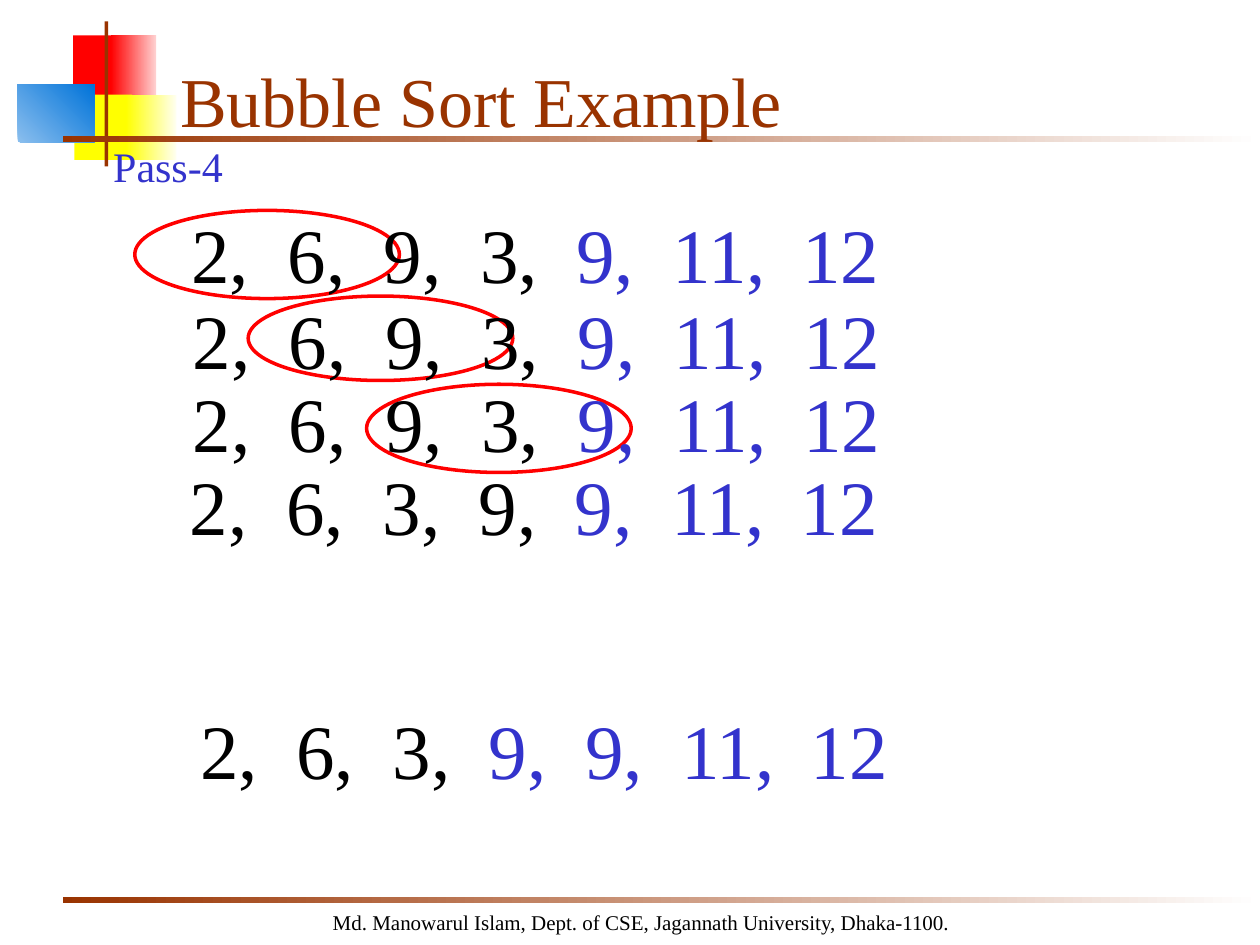
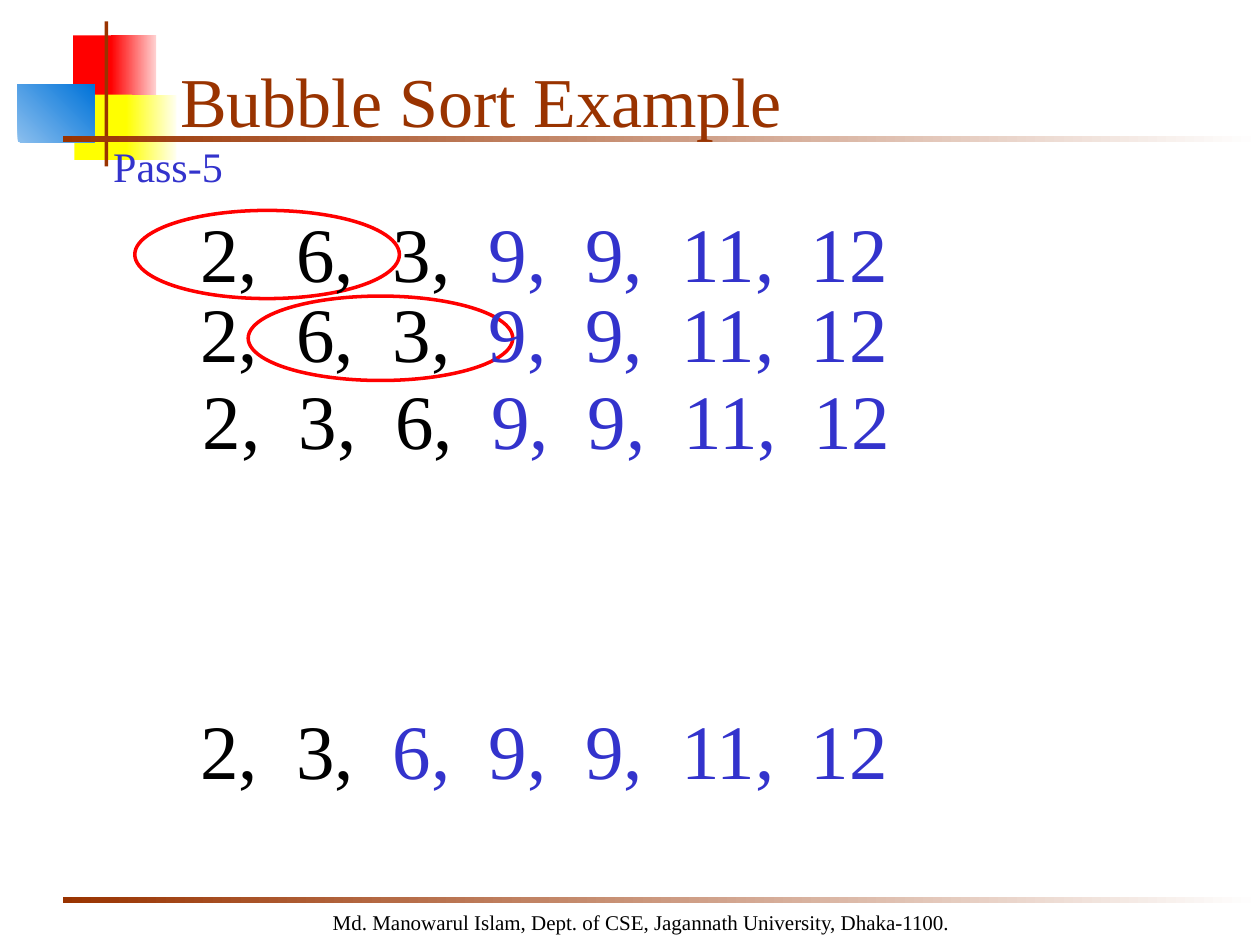
import pptx
import pptx.util
import pptx.dml.color
import pptx.enum.shapes
import pptx.enum.text
import lxml.etree

SHAPE = pptx.enum.shapes.MSO_SHAPE
ALIGN = pptx.enum.text.PP_ALIGN
ANCHOR = pptx.enum.text.MSO_ANCHOR
FIT = pptx.enum.text.MSO_AUTO_SIZE
A = "{http://schemas.openxmlformats.org/drawingml/2006/main}"

COLORS = {
    "brown": "993300", "red": "FF0000", "pink": "FFD1D1", "yellow": "FFFF00",
    "cream": "FFFFF0", "sky": "8BBFEE", "blue": "0073D9", "white": "FFFFFF",
    "black": "000000", "sorted": "3333CC",
}
COLS, ROWS = 100, 75
STEP = 55
WIDE_STEP = 74
STOPS = [STEP * i for i in range(1, 6)] + [STEP * 5 + WIDE_STEP]
FOOTER = "Md. Manowarul Islam, Dept. of CSE, Jagannath University, Dhaka-1100."

BLOCKS = [
    ((5.8, 2.8, 3.5, 5.2), ["red"], 0),
    ((8.8, 2.8, 3.6, 5.2), ["red", "pink"], 0),
    ((5.9, 7.5, 4.6, 5.2), ["yellow"], 0),
    ((10, 7.5, 4, 5.2), ["yellow", "cream"], 0),
    ((1.4, 6.7, 6.1, 4.6), ["sky", "blue"], 45),
    ((8.3, 1.7, 0.3, 11.5), ["brown"], 0),
    ((5, 10.8, 95, 0.5), ["brown", "white"], 0),
    ((5, 71.2, 95, 0.5), ["brown", "white"], 0),
]
COMPARED = [(10.7, 16.7, 21, 7), (19.7, 23.5, 21, 6.7), (29.1, 30.5, 21, 7)]

PASSES = [
    ("Pass-4", 3, [
        (14.9, 55.3, "2 6 3", "9 9 11 12"),
        (14.2, 15.9, "2 6 9 3", "9 11 12"),
        (14.3, 22.7, "2 6 9 3", "9 11 12"),
        (14.3, 29.3, "2 6 9 3", "9 11 12"),
        (14.1, 35.9, "2 6 3 9", "9 11 12"),
    ]),
    ("Pass-5", 2, [
        (14.9, 55.3, "2 3", "6 9 9 11 12"),
        (14.9, 15.8, "2 6 3", "9 9 11 12"),
        (14.9, 22.2, "2 6 3", "9 9 11 12"),
        (15.1, 29.1, "2 3 6", "9 9 11 12"),
    ]),
]


def rgb(name):
    return pptx.dml.color.RGBColor.from_string(COLORS[name])


class Deck:
    def __init__(self):
        self.prs = pptx.Presentation()
        self.prs.slide_width = pptx.util.Inches(10)
        self.prs.slide_height = pptx.util.Inches(7.5)
        self.s = None

    def place(self, x, y, w, h):
        col = self.prs.slide_width / COLS
        row = self.prs.slide_height / ROWS
        return [round(v) for v in (x * col, y * row, w * col, h * row)]

    def run(self, p, text, size, color):
        r = p.add_run()
        r.text = text
        fmt = {"name": "Times New Roman", "size": pptx.util.Pt(size)}
        for key, value in fmt.items():
            setattr(r.font, key, value)
        r.font.color.rgb = rgb(color)

    def shape(self, kind, at):
        sp = self.s.shapes.add_shape(kind, *self.place(*at))
        sp.shadow.inherit = False
        return sp

    def block(self, at, colors, angle):
        sp = self.shape(SHAPE.RECTANGLE, at)
        sp.line.fill.background()
        if len(colors) == 1:
            sp.fill.solid()
            sp.fill.fore_color.rgb = rgb(colors[0])
            return
        sp.fill.gradient()
        sp.fill.gradient_angle = angle
        for stop, color in zip(sp.fill.gradient_stops, colors):
            stop.color.rgb = rgb(color)

    def ring(self, at):
        sp = self.shape(SHAPE.OVAL, at)
        sp.fill.background()
        sp.line.color.rgb = rgb("red")
        sp.line.width = pptx.util.Pt(2)

    def textbox(self, at):
        tf = self.s.shapes.add_textbox(*self.place(*at)).text_frame
        for key, value in {"word_wrap": True, "auto_size": FIT.SHAPE_TO_FIT_TEXT}.items():
            setattr(tf, key, value)
        return tf.paragraphs[0]

    def title(self, text):
        sp = self.s.shapes.title
        self.s.shapes.element.append(sp.element)
        box = zip(("left", "top", "width", "height"), self.place(13.3, 2.5, 85.2, 9.2))
        for key, value in box:
            setattr(sp, key, value)
        sp.text_frame.vertical_anchor = ANCHOR.BOTTOM
        p = sp.text_frame.paragraphs[0]
        p.alignment = ALIGN.LEFT
        self.run(p, text, 40, "brown")

    def numbers(self, x, y, unsorted, done):
        p = self.textbox((x, y, 64.7, 8.4))
        tabs = lxml.etree.SubElement(p._p.get_or_add_pPr(), A + "tabLst")
        for stop in STOPS:
            lxml.etree.SubElement(tabs, A + "tab", pos=str(pptx.util.Pt(stop)), algn="l")
        self.run(p, unsorted.replace(" ", ",\t") + ",\t", 44, "black")
        self.run(p, done.replace(" ", ",\t"), 44, "sorted")

    def slide(self, name, comparisons, rows):
        self.s = self.prs.slides.add_slide(self.prs.slide_layouts[5])
        for block in BLOCKS:
            self.block(*block)
        p = self.textbox((3.8, 71.7, 94.2, 3))
        p.alignment = ALIGN.CENTER
        self.run(p, FOOTER, 12, "black")
        self.title("Bubble Sort Example")
        for at in COMPARED[:comparisons]:
            self.ring(at)
        self.run(self.textbox((8, 10.7, 20.5, 5)), name, 24, "sorted")
        for row in rows:
            self.numbers(*row)


def main():
    deck = Deck()
    for sorting_pass in PASSES:
        deck.slide(*sorting_pass)
    deck.prs.save("out.pptx")


if __name__ == "__main__":
    main()
